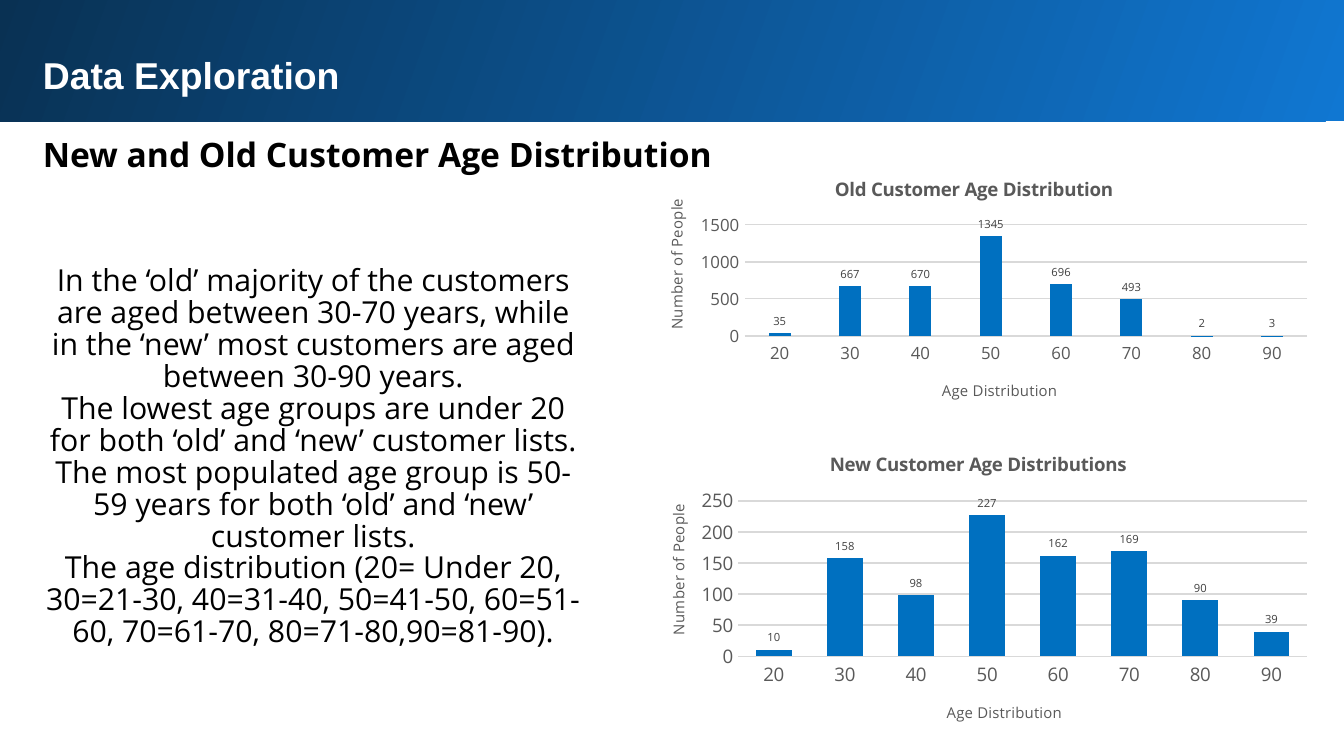
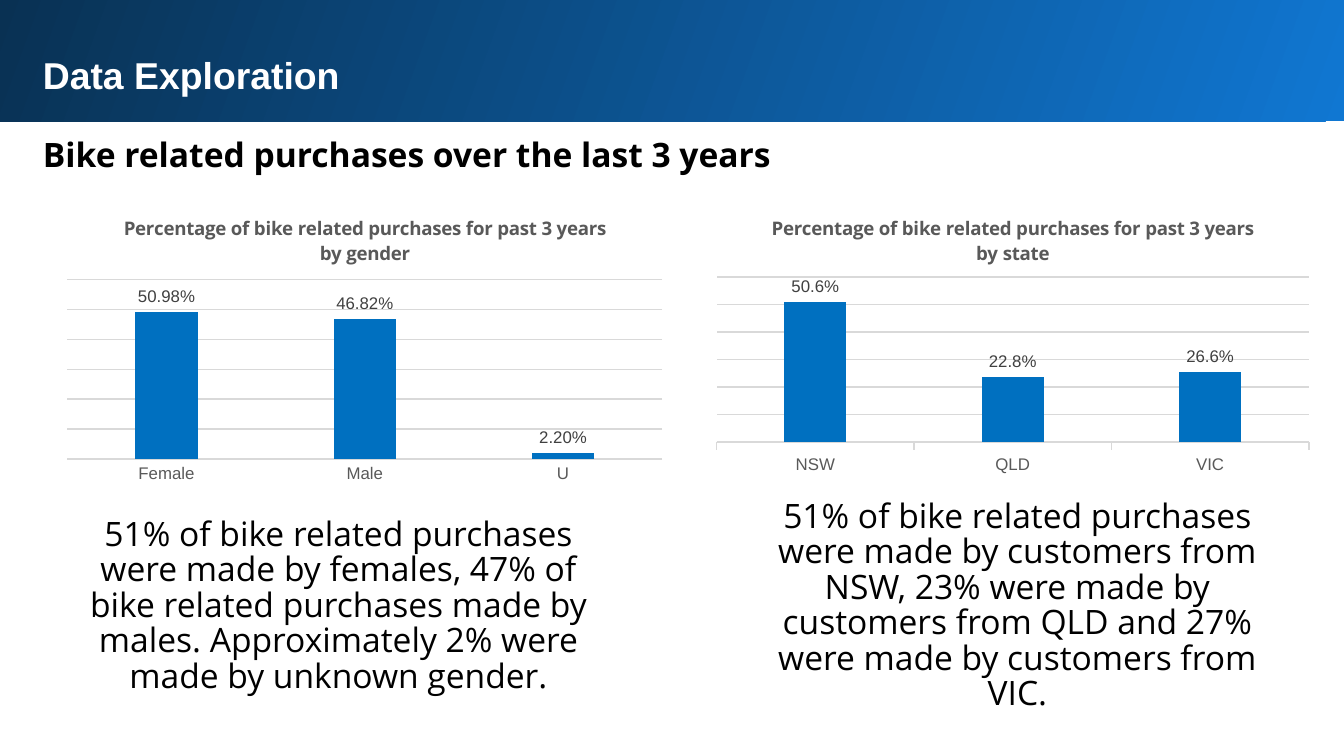
"""Build two data exploration slides on customer ages and bike related purchases."""
from dataclasses import dataclass

import pptx
import pptx.chart.data
import pptx.dml.color
import pptx.enum.chart
import pptx.enum.shapes
import pptx.enum.text
import pptx.oxml
import pptx.oxml.ns
import pptx.util
from pptx.util import Cm, Pt


def rgb(code):
    return pptx.dml.color.RGBColor.from_string(code)


@dataclass(frozen=True)
class Theme:
    band_light: str = "1077D2"
    band_dark: str = "093153"
    white: str = "FFFFFF"
    black: str = "000000"
    bar: str = "0070C0"
    muted: str = "595959"
    label: str = "404040"
    rule: str = "D9D9D9"
    sans: str = "Arial"
    open: str = "Open Sans"
    title: float = 20
    heading: float = 18
    chart_title: float = 10
    axis_title: float = 8


THEME = Theme()
ALIGN = pptx.enum.text.PP_ALIGN
ANCHOR = pptx.enum.text.MSO_ANCHOR
TICK = pptx.enum.chart.XL_TICK_MARK

SECTION = "Data Exploration"
AGES = ["20", "30", "40", "50", "60", "70", "80", "90"]
AGE_AXES = ("Age Distribution", "Number of People")

BAND_BOX = (-0.05, -0.05, 25.53, 2.34)
SECTION_BOX = (0.56, 0.74, 23.8, 1.3)
HEADING_BOX = (0.56, 2.16, 23.8, 1.32)

SLIDES = [
    {
        "heading": "New and Old Customer Age Distribution",
        "findings": [{
            "box": (0.56, 3.48, 10.72, 10.34),
            "size": 16.2,
            "lines": [
                "In the ‘old’ majority of the customers are aged between 30-70 years, "
                "while in the ‘new’ most customers are aged between 30-90 years.",
                "The lowest age groups are under 20 for both ‘old’ and ‘new’ customer lists.",
                "The most populated age group is 50-59 years for both ‘old’ and ‘new’ "
                "customer lists.",
                "The age distribution (20= Under 20, 30=21-30, 40=31-40, 50=41-50, "
                "60=51-60, 70=61-70, 80=71-80,90=81-90).",
            ],
        }],
        "charts": [
            {
                "title": "New Customer Age Distributions",
                "box": (12.01, 8.18, 12.95, 5.87),
                "plot": (0.15, 0.22, 0.83, 0.5),
                "groups": AGES,
                "counts": [10, 158, 98, 227, 162, 169, 90, 39],
                "scale": (250, 50),
                "axis_titles": AGE_AXES,
                "axis_spots": [(0.45, 0.85), (0.04, 0.22)],
                "spacing": (100, -24),
                "axis_size": 10, "label_size": 6, "font": THEME.open,
            },
            {
                "title": "Old Customer Age Distribution",
                "box": (11.84, 3, 13.13, 5),
                "plot": (0.17, 0.25, 0.81, 0.42),
                "groups": AGES,
                "counts": [35, 667, 670, 1345, 696, 493, 2, 3],
                "scale": (1500, 500),
                "axis_titles": AGE_AXES,
                "axis_spots": [(0.45, 0.82), (0.05, 0.14)],
                "axis_size": 9, "label_size": 6, "font": THEME.open,
            },
        ],
    },
    {
        "heading": "Bike related purchases over the last 3 years",
        "findings": [
            {
                "box": (1.04, 7.44, 10.72, 8.05),
                "size": 18,
                "lines": ["51% of bike related purchases were made by females, 47% of bike "
                          "related purchases made by males. Approximately 2% were made by "
                          "unknown gender."],
            },
            {
                "box": (13.87, 7.44, 10.72, 8.05),
                "size": 18,
                "lines": ["51% of bike related purchases were made by customers from NSW, "
                          "23% were made by customers from QLD and 27% were made by "
                          "customers from VIC."],
            },
        ],
        "charts": [
            {
                "title": "Percentage of bike related purchases for past 3 years by gender",
                "box": (1.04, 3.73, 11.71, 5.56),
                "plot": (0.02, 0.28, 0.96, 0.61),
                "groups": ["Female", "Male", "U"],
                "counts": [98359, 93483, 3718],
                "shares": ["50.98%", "46.82%", "2.20%"],
                "scale": (120000, 20000),
                "axis_size": 9, "label_size": 9, "font": THEME.sans,
            },
            {
                "title": "Percentage of bike related purchases for past 3 years by state",
                "box": (13.31, 3.73, 11.66, 5.38),
                "plot": (0.02, 0.28, 0.96, 0.58),
                "groups": ["NSW", "QLD", "VIC"],
                "counts": [25409, 11751, 12676],
                "shares": ["50.6%", "22.8%", "26.6%"],
                "scale": (30000, 5000),
                "tick": TICK.OUTSIDE,
                "axis_size": 9, "label_size": 9, "font": THEME.sans,
            },
        ],
    },
]


def apply(target, formats):
    for name, value in formats.items():
        setattr(target, name, value)


def style(font, size, color, face, bold=False):
    apply(font, {"size": Pt(size), "name": face, "bold": bold})
    font.color.rgb = rgb(color)


def place(box):
    return [Cm(length) for length in box]


def add_text(slide, box, lines, font, paragraph_format, anchor=ANCHOR.TOP):
    frame = slide.shapes.add_textbox(*place(box)).text_frame
    inset = Cm(0.25)
    apply(frame, {"word_wrap": True, "vertical_anchor": anchor,
                  "margin_left": inset, "margin_right": inset,
                  "margin_top": inset, "margin_bottom": inset})
    frame.text = "\n".join(lines)
    for paragraph in frame.paragraphs:
        apply(paragraph, paragraph_format)
        style(paragraph.runs[0].font, *font)


def add_band(slide):
    band = slide.shapes.add_shape(pptx.enum.shapes.MSO_SHAPE.RECTANGLE, *place(BAND_BOX))
    band.shadow.inherit = False
    band.line.fill.background()
    band.fill.gradient()
    band.fill.gradient_angle = 160
    for stop, color in zip(band.fill.gradient_stops, (THEME.band_light, THEME.band_dark)):
        stop.color.rgb = rgb(color)


def set_layout(element, fractions, inner=False):
    qn = pptx.oxml.ns.qn
    for old in element.findall(qn("c:layout")):
        element.remove(old)
    target = '<c:layoutTarget val="inner"/>' if inner else ""
    modes = "".join(f'<c:{axis}Mode val="edge"/>' for axis in "xy")
    sizes = "".join(f'<c:{side} val="{part}"/>' for side, part in zip("xywh", fractions))
    layout = pptx.oxml.parse_xml(
        f'<c:layout {pptx.oxml.ns.nsdecls("c")}><c:manualLayout>'
        f"{target}{modes}{sizes}</c:manualLayout></c:layout>")
    element.insert(0 if element.find(qn("c:tx")) is None else 1, layout)


def set_title(title, words, size, bold):
    title.text_frame.text = words
    style(title.text_frame.paragraphs[0].runs[0].font, size, THEME.muted, THEME.open, bold)


def format_axes(chart, content):
    groups, counts = chart.category_axis, chart.value_axis
    top, step = content["scale"]
    apply(groups, {"major_tick_mark": content.get("tick", TICK.NONE),
                   "minor_tick_mark": TICK.NONE, "has_major_gridlines": False})
    apply(counts, {"major_tick_mark": TICK.NONE, "minor_tick_mark": TICK.NONE,
                   "minimum_scale": 0, "maximum_scale": top, "major_unit": step,
                   "has_major_gridlines": True, "visible": "axis_titles" in content})
    counts.format.line.fill.background()
    for line in (groups.format.line, counts.major_gridlines.format.line):
        line.color.rgb = rgb(THEME.rule)
        line.width = Pt(0.75)
    for axis in (groups, counts):
        style(axis.tick_labels.font, content["axis_size"], THEME.muted, content["font"])
    if "axis_titles" in content:
        for axis, words, spot in zip((groups, counts), content["axis_titles"],
                                     content["axis_spots"]):
            set_title(axis.axis_title, words, THEME.axis_title, False)
            set_layout(axis.axis_title._element, spot)
        counts.axis_title.text_frame._txBody.bodyPr.set("rot", "-5400000")


def format_bars(plot, content):
    gap, overlap = content.get("spacing", (219, -27))
    apply(plot, {"gap_width": gap, "overlap": overlap, "vary_by_categories": False})
    series = plot.series[0]
    series.format.fill.solid()
    series.format.fill.fore_color.rgb = rgb(THEME.bar)
    outside = pptx.enum.chart.XL_LABEL_POSITION.OUTSIDE_END
    label_font = (content["label_size"], THEME.label, content["font"])
    apply(series.data_labels, {"show_value": True, "position": outside})
    style(series.data_labels.font, *label_font)
    for index, share in enumerate(content.get("shares", [])):
        label = series.points[index].data_label
        label.text_frame.text = share
        style(label.text_frame.paragraphs[0].runs[0].font, *label_font)
        label.position = outside


def add_column_chart(slide, content):
    data = pptx.chart.data.CategoryChartData()
    data.categories = content["groups"]
    data.add_series("Series 1", content["counts"])
    kind = pptx.enum.chart.XL_CHART_TYPE.COLUMN_CLUSTERED
    chart = slide.shapes.add_chart(kind, *place(content["box"]), data).chart
    apply(chart, {"has_legend": False, "has_title": True})
    style(chart.font, 10, THEME.black, THEME.sans)
    set_title(chart.chart_title, content["title"], THEME.chart_title, True)
    format_axes(chart, content)
    format_bars(chart.plots[0], content)
    set_layout(chart._chartSpace.chart.plotArea, content["plot"], inner=True)


def add_slide(deck, content):
    slide = deck.slides.add_slide(deck.slide_layouts[6])
    add_band(slide)
    add_text(slide, SECTION_BOX, [SECTION],
             (THEME.title, THEME.white, THEME.sans, True), {})
    add_text(slide, HEADING_BOX, [content["heading"]],
             (THEME.heading, THEME.black, THEME.open, True), {"line_spacing": 1.15})
    for finding in content["findings"]:
        add_text(slide, finding["box"], finding["lines"],
                 (finding["size"], THEME.black, THEME.open),
                 {"alignment": ALIGN.CENTER, "line_spacing": 0.88}, ANCHOR.MIDDLE)
    for chart in content["charts"]:
        add_column_chart(slide, chart)


def main():
    deck = pptx.Presentation()
    apply(deck, {"slide_width": Cm(25.4), "slide_height": Cm(14.29)})
    for content in SLIDES:
        add_slide(deck, content)
    deck.save("out.pptx")


if __name__ == "__main__":
    main()
